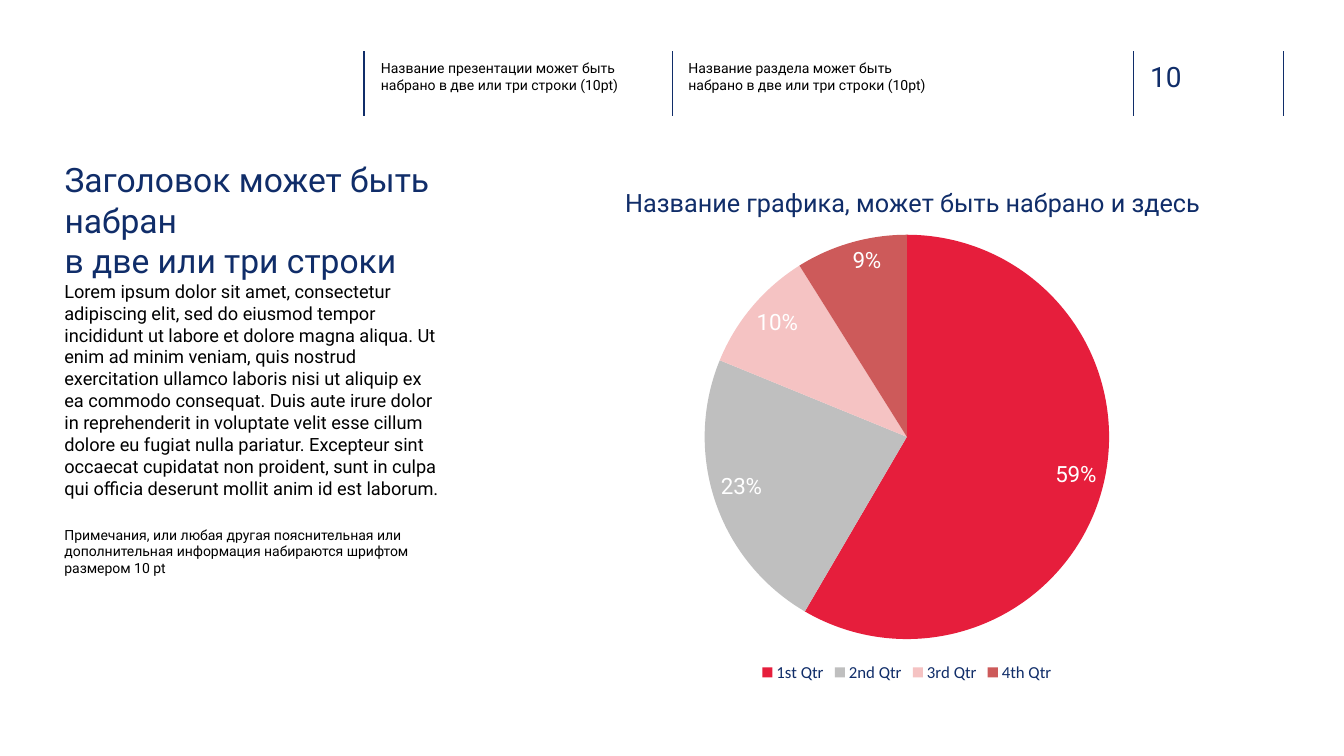
from lxml.etree import SubElement
from pptx import Presentation
from pptx.chart.data import CategoryChartData
from pptx.dml.color import RGBColor
from pptx.enum.chart import XL_CHART_TYPE, XL_LABEL_POSITION, XL_LEGEND_POSITION
from pptx.enum.shapes import MSO_CONNECTOR
from pptx.enum.text import MSO_ANCHOR, MSO_AUTO_SIZE, PP_ALIGN
from pptx.oxml.ns import qn
from pptx.util import Inches, Pt

HUES = {"navy": "102D69", "black": "000000", "white": "FFFFFF",
        "red": "E61E3C", "gray": "BFBFBF", "pink": "F5C3C3", "rose": "CD5A5A"}
QUARTERS = [("1st Qtr", 59, "red"), ("2nd Qtr", 23, "gray"),
            ("3rd Qtr", 10, "pink"), ("4th Qtr", 9, "rose")]
BODY = ("Lorem ipsum dolor sit amet, consectetur adipiscing elit, sed do eiusmod "
        "tempor incididunt ut labore et dolore magna aliqua. Ut enim ad minim veniam, "
        "quis nostrud exercitation ullamco laboris nisi ut aliquip ex ea commodo "
        "consequat. Duis aute irure dolor in reprehenderit in voluptate velit esse "
        "cillum dolore eu fugiat nulla pariatur. Excepteur sint occaecat cupidatat non "
        "proident, sunt in culpa qui officia deserunt mollit anim id est laborum.")
NOTE = ("Примечания, или любая другая пояснительная или дополнительная информация "
        "набираются шрифтом размером 10 pt")
LEFT = 0.54
TOP = 0.54


def color(name):
    return RGBColor.from_string(HUES[name])


def apply(target, values):
    for key, value in values.items():
        setattr(target, key, value)


def place(owner, before, **box):
    """Set a manual chart layout, in fractions of the chart, ahead of a child."""
    layout = owner.find(qn("c:layout"))
    if layout is None:
        layout = owner.makeelement(qn("c:layout"), {})
        owner.find(qn(before)).addprevious(layout)
    manual = SubElement(layout, qn("c:manualLayout"))
    if "w" in box:
        SubElement(manual, qn("c:layoutTarget")).set("val", "inner")
    for side in ("x", "y"):
        SubElement(manual, qn(f"c:{side}Mode")).set("val", "edge")
    for key, value in box.items():
        SubElement(manual, qn(f"c:{key}")).set("val", str(value))


class Page:
    def __init__(self, deck):
        self.slide = deck.slides.add_slide(deck.slide_layouts[5])
        self.shapes = self.slide.shapes

    def style(self, font, size, hue="black", face="Roboto"):
        apply(font, {"name": face, "size": Pt(size), "bold": False})
        font.color.rgb = color(hue)

    def fill(self, shape, words, size, hue):
        frame = shape.text_frame
        frame.text = words
        apply(frame, {"word_wrap": True, "auto_size": MSO_AUTO_SIZE.NONE,
                      "vertical_anchor": MSO_ANCHOR.TOP})
        line = frame.paragraphs[0]
        line.alignment = PP_ALIGN.LEFT
        for run in line.runs:
            self.style(run.font, size, hue)

    def title(self, words, box, size=24):
        shape = self.shapes.title
        sides = ("left", "top", "width", "height")
        apply(shape, dict(zip(sides, map(Inches, box))))
        self.fill(shape, words, size, "navy")

    def text(self, words, box, size=10, hue="black"):
        self.fill(self.shapes.add_textbox(*map(Inches, box)), words, size, hue)

    def rule(self, x, top=0.51, end=1.15):
        line = self.shapes.add_connector(
            MSO_CONNECTOR.STRAIGHT, *map(Inches, (x, top, x, end)))
        line.line.color.rgb = color("navy")
        line.line.width = Pt(1)
        SubElement(line._element.spPr, qn("a:effectLst"))

    def pie(self, name, rows, box):
        data = CategoryChartData()
        data.categories = [label for label, _, _ in rows]
        data.add_series("Series 1", [value for _, value, _ in rows])
        chart = self.shapes.add_chart(
            XL_CHART_TYPE.PIE, *map(Inches, box), data).chart
        self.style(chart.font, 10, face="Calibri")
        apply(chart, {"has_title": True, "has_legend": True})

        head = chart.chart_title
        head.text_frame.text = name
        self.style(head.text_frame.paragraphs[0].runs[0].font, 18, "navy")
        head.include_in_layout = False
        place(head._element, "c:overlay", x=0.12, y=0.04)

        apply(chart.legend, {"position": XL_LEGEND_POSITION.BOTTOM,
                             "include_in_layout": False})
        self.style(chart.legend.font, 12, "navy", "Calibri")

        plot = chart.plots[0]
        apply(plot, {"vary_by_categories": True, "has_data_labels": True})
        place(plot._element.getparent(), "c:pieChart",
              x=0.23, y=0.14, w=0.54, h=0.77)
        apply(plot.data_labels, {
            "show_value": True, "show_percentage": False,
            "number_format": '0"%"', "number_format_is_linked": False,
            "position": XL_LABEL_POSITION.INSIDE_END})
        self.style(plot.data_labels.font, 16, "white")
        for index, (_, _, hue) in enumerate(rows):
            slice_fill = plot.series[0].points[index].format.fill
            slice_fill.solid()
            slice_fill.fore_color.rgb = color(hue)


def main():
    deck = Presentation()
    apply(deck, {"slide_width": Inches(13.33), "slide_height": Inches(7.5)})
    page = Page(deck)
    for x in (3.61, 6.67, 11.24, 12.73):
        page.rule(x)
    for x, part in ((3.68, "презентации"), (6.73, "раздела")):
        page.text(f"Название {part} может быть набрано в две или три строки (10pt)",
                  (x, TOP, 2.57, 0.44))
    page.text("10", (11.31, TOP, 0.73, 0.44), 20, "navy")
    page.title("Заголовок может быть набран\vв две или три строки",
               (LEFT, 1.53, 4.97, 0.91))
    page.text(BODY, (LEFT, 2.73, 3.97, 2.29), 13)
    page.text(NOTE, (LEFT, 5.17, 3.91, 0.61))
    page.pie("Название графика, может быть набрано и здесь", QUARTERS,
             (5.26, 1.6, 7.47, 5.21))
    deck.save("out.pptx")


if __name__ == "__main__":
    main()
